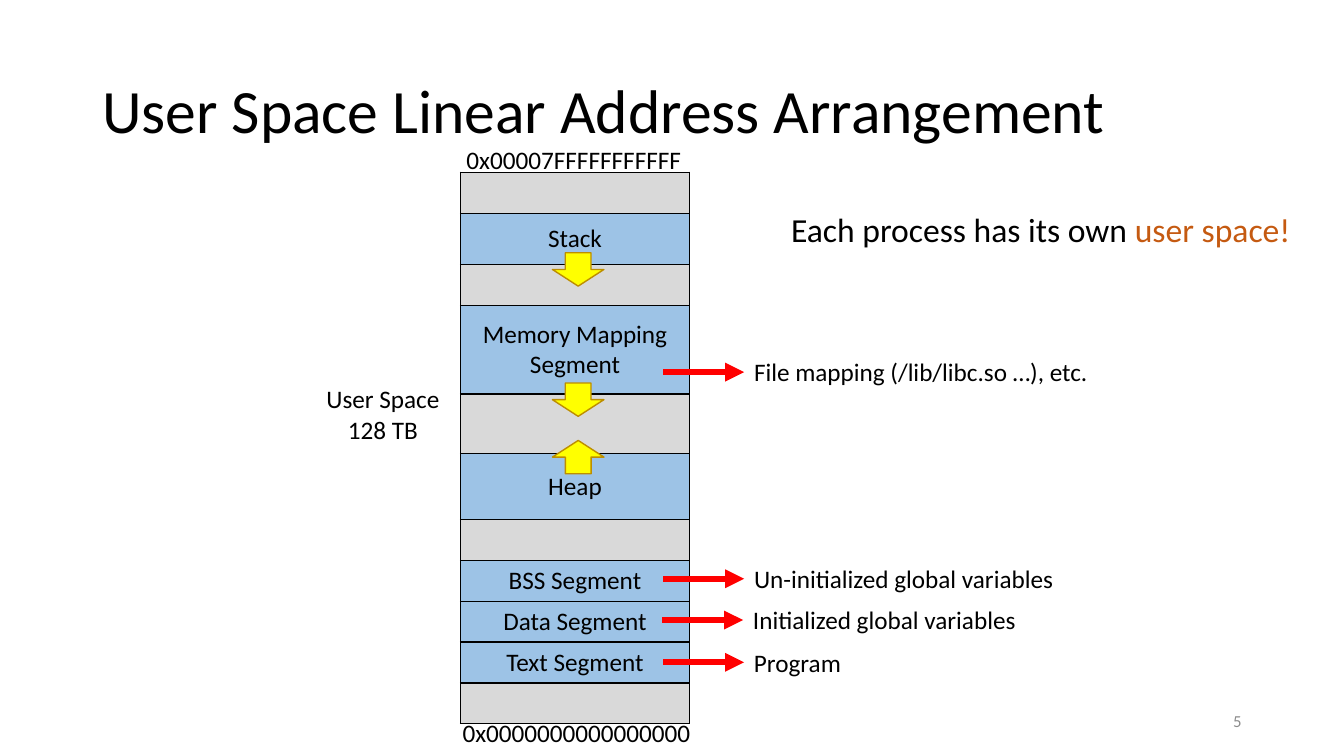
import pptx
import pptx.util
import pptx.dml.color
import pptx.enum.shapes
import pptx.enum.text
import pptx.oxml
from pptx.oxml.ns import qn

Pt = pptx.util.Pt
ALIGN = pptx.enum.text.PP_ALIGN
ANCHOR = pptx.enum.text.MSO_ANCHOR
SHAPES = pptx.enum.shapes.MSO_SHAPE

FONT = "Calibri"
BLACK, GAP_FILL, SEGMENT_FILL = "000000", "D9D9D9", "9DC3E6"
# Name (empty for an unused gap) and height of each region, from high addresses to low
REGIONS = [
    ("", 29.25), ("Stack", 37), ("", 29.25), ("Memory Mapping Segment", 63),
    ("", 42.5), ("Heap", 47), ("", 29.25), ("BSS Segment", 29.25),
    ("Data Segment", 29.25), ("Text Segment", 29.25), ("", 29.25),
]
# Offset from the top of the address column, rotation
GROWTH_ARROWS = [(57.6, 0), (150.6, 0), (191.6, 180)]
# Text, offset of the label from the column's right side and top, label width
NOTES = [
    ("File mapping (/lib/libc.so …), etc.", 39, 128.3, 255.6),
    ("Un-initialized global variables", 39, 275.9, 231.1),
    ("Initialized global variables", 38.3, 305.4, 204.5),
    ("Program", 39, 335.6, 77),
]


def rgb(color):
    return pptx.dml.color.RGBColor.from_string(color)


def add_span(para, text, size=18, color=BLACK):
    span = para.add_run()
    span.text = text
    span.font.name = FONT
    span.font.size = Pt(size)
    span.font.color.rgb = rgb(color)


def add_text(page, lines, left, top, width, height, size=18, align=ALIGN.LEFT,
             anchor=ANCHOR.TOP, wrap=False, spacing=None):
    """Add a text box; each line is a list of (text, color) spans."""
    box = page.shapes.add_textbox(Pt(left), Pt(top), Pt(width), Pt(height))
    frame = box.text_frame
    frame.word_wrap = wrap
    frame.vertical_anchor = anchor
    for index, spans in enumerate(lines):
        para = frame.add_paragraph() if index else frame.paragraphs[0]
        para.alignment = align
        para.line_spacing = spacing
        for text, color in spans:
            add_span(para, text, size, color)
    return box


def add_borders(cell):
    properties = cell._tc.get_or_add_tcPr()
    for index, side in enumerate(("lnL", "lnR", "lnT", "lnB")):
        properties.insert(index, pptx.oxml.parse_xml(
            f'<a:{side} xmlns:a="http://schemas.openxmlformats.org/drawingml/2006/main" '
            f'w="12700"><a:solidFill><a:srgbClr val="{BLACK}"/></a:solidFill></a:{side}>'))


def add_address_column(page, left, top, width):
    height = sum(size for _, size in REGIONS)
    table = page.shapes.add_table(len(REGIONS), 1, Pt(left), Pt(top),
                                  Pt(width), Pt(height)).table
    table.first_row = table.horz_banding = False
    for row, (name, size) in zip(table.rows, REGIONS):
        row.height = Pt(size)
        cell = row.cells[0]
        cell.fill.solid()
        cell.fill.fore_color.rgb = rgb(SEGMENT_FILL if name else GAP_FILL)
        cell.vertical_anchor = ANCHOR.MIDDLE
        if name:
            para = cell.text_frame.paragraphs[0]
            para.alignment = ALIGN.CENTER
            add_span(para, name)
        add_borders(cell)

    for offset, rotation in GROWTH_ARROWS:
        arrow = page.shapes.add_shape(SHAPES.DOWN_ARROW, Pt(left + 65.6),
                                      Pt(top + offset), Pt(36.8), Pt(23.8))
        arrow.shadow.inherit = False
        arrow.rotation = rotation
        arrow.fill.solid()
        arrow.fill.fore_color.rgb = rgb("FFFF00")
        arrow.line.color.rgb = rgb("BD8E00")
        arrow.line.width = Pt(1)

    add_text(page, [[("0x00007FFFFFFFFFFF", BLACK)]], left - 2.9, top - 23.7, 169.2, 29)
    add_text(page, [[("0x0000000000000000", BLACK)]], left - 5.7, top + 386, 179.3, 29)
    add_text(page, [[("User Space", BLACK)], [("128 TB", BLACK)]],
             left - 103.7, top + 147.6, 96.5, 51, align=ALIGN.CENTER)


def add_notes(page, left, top):
    """Add the labels right of the address column, each with its red arrow."""
    for text, indent, offset, width in NOTES:
        label_left, label_top, label_height = left + indent, top + offset, 29
        label = add_text(page, [[(text, BLACK)]], label_left, label_top, width, label_height)
        middle = Pt(label_top + label_height / 2)
        arrow = page.shapes.add_connector(
            pptx.enum.shapes.MSO_CONNECTOR.STRAIGHT,
            Pt(label_left - 57.6), middle, Pt(label_left), middle)
        arrow.end_connect(label, 1)
        arrow.line.color.rgb = rgb("FF0000")
        arrow.line.width = Pt(4.5)
        line = arrow.line._get_or_add_ln()
        line.append(line.makeelement(qn("a:tailEnd"), {"type": "triangle"}))
        properties = arrow._element.spPr
        properties.append(properties.makeelement(qn("a:effectLst"), {}))


def main():
    deck = pptx.Presentation()
    deck.slide_width, deck.slide_height = Pt(960), Pt(540)
    page = deck.slides.add_slide(deck.slide_layouts[6])
    column_left, column_top, column_width = 329, 123, 163.5

    add_text(page, [[("User Space Linear Address Arrangement", BLACK)]],
             66, 28.8, 828, 104.4, size=44, anchor=ANCHOR.MIDDLE, wrap=True, spacing=0.9)
    add_address_column(page, column_left, column_top, column_width)
    add_notes(page, column_left + column_width, column_top)
    add_text(page, [[("Each process has its own ", BLACK), ("user space!", "C55A11")]],
             558, 145.4, 379.4, 36, size=24, wrap=True)
    add_text(page, [[("5", "8C8C8C")]], 678, 500.5, 216, 28.8, size=12,
             align=ALIGN.RIGHT, anchor=ANCHOR.MIDDLE, wrap=True)
    deck.save("out.pptx")


if __name__ == "__main__":
    main()
